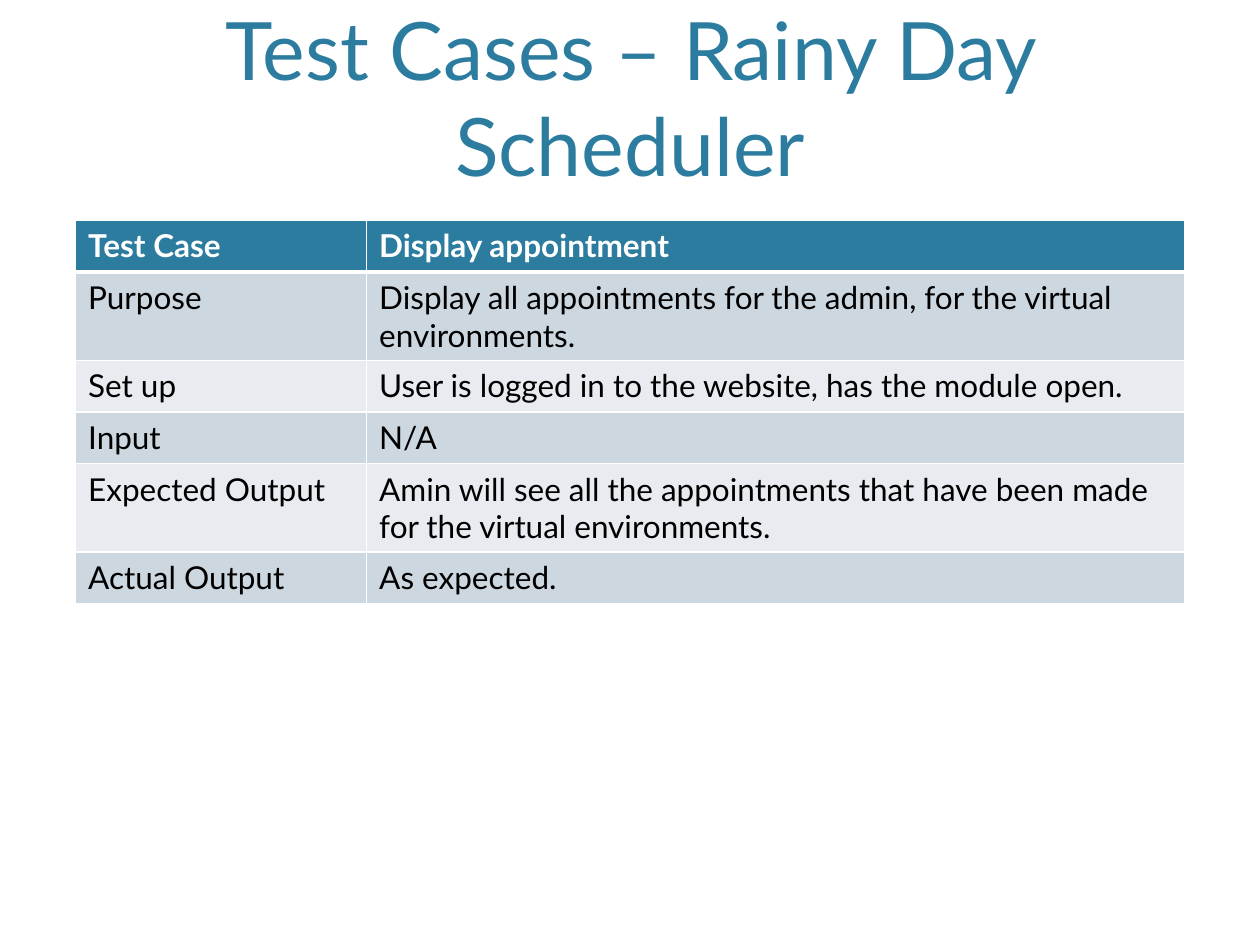
from lxml.etree import SubElement
from pptx import Presentation
from pptx.dml.color import RGBColor
from pptx.enum.text import MSO_ANCHOR, MSO_AUTO_SIZE, PP_ALIGN
from pptx.oxml.ns import qn
from pptx.util import Inches, Pt

COLORS = {
    "accent": "2C7C9F",
    "text": "000000",
    "white": "FFFFFF",
    "dark_band": "CDD7DF",
    "light_band": "E8ECF0",
}

TEST_CASE_ROWS = [
    ("Test Case", "Display appointment"),
    ("Purpose", "Display all appointments for the admin, for the virtual environments."),
    ("Set up", "User is logged in to the website, has the module open."),
    ("Input", "N/A"),
    ("Expected Output", "Amin will see all the appointments that have been made for the virtual environments."),
    ("Actual Output", "As expected."),
]


def set_attributes(target, values):
    for name, value in values.items():
        setattr(target, name, value)


class SlideBuilder:
    font_name = "Lato"

    def __init__(self, slide):
        self.slide = slide

    def add_text(self, paragraph, text, size, color, bold=False):
        run = paragraph.add_run()
        run.text = text
        set_attributes(run.font, {"name": self.font_name, "size": Pt(size), "bold": bold})
        run.font.color.rgb = RGBColor.from_string(COLORS[color])

    def add_title(self, text, left, top, width, height):
        shape = self.slide.shapes.add_textbox(
            Inches(left), Inches(top), Inches(width), Inches(height)
        )
        set_attributes(shape.text_frame, {
            "word_wrap": True,
            "auto_size": MSO_AUTO_SIZE.NONE,
            "vertical_anchor": MSO_ANCHOR.BOTTOM,
        })
        paragraph = shape.text_frame.paragraphs[0]
        paragraph.alignment = PP_ALIGN.CENTER
        self.add_text(paragraph, text, 46, "accent")

    def add_borders(self, cell, widths):
        properties = cell._tc.get_or_add_tcPr()
        for side, width in widths.items():
            line = SubElement(properties, qn(f"a:ln{side}"), w=str(Pt(width)))
            fill = SubElement(line, qn("a:solidFill"))
            SubElement(fill, qn("a:srgbClr"), val=COLORS["white"])

    def add_table(self, rows, left, top, column_widths, row_height):
        table = self.slide.shapes.add_table(
            len(rows), len(column_widths), Inches(left), Inches(top),
            Inches(sum(column_widths)), Inches(row_height * len(rows)),
        ).table
        for column, width in zip(table.columns, column_widths):
            column.width = Inches(width)
        for row_index, texts in enumerate(rows):
            table.rows[row_index].height = Inches(row_height)
            header = row_index == 0
            band = "dark_band" if row_index % 2 else "light_band"
            for column_index, text in enumerate(texts):
                cell = table.cell(row_index, column_index)
                self.add_borders(cell, {
                    "L": 1,
                    "R": 1,
                    "T": 3 if row_index == 1 else 1,
                    "B": 3 if header else 1,
                })
                cell.fill.solid()
                cell.fill.fore_color.rgb = RGBColor.from_string(
                    COLORS["accent" if header else band]
                )
                self.add_text(cell.text_frame.paragraphs[0], text, 18,
                              "white" if header else "text", header)


def main():
    presentation = Presentation()
    set_attributes(presentation, {"slide_width": Inches(10), "slide_height": Inches(7.5)})
    builder = SlideBuilder(presentation.slides.add_slide(presentation.slide_layouts[6]))
    builder.add_title("Test Cases – Rainy Day Scheduler", 0.6, 0.12, 8.8, 1.46)
    builder.add_table(TEST_CASE_ROWS, 0.6, 1.75, (2.31, 6.49), 0.41)
    presentation.save("out.pptx")


if __name__ == "__main__":
    main()
